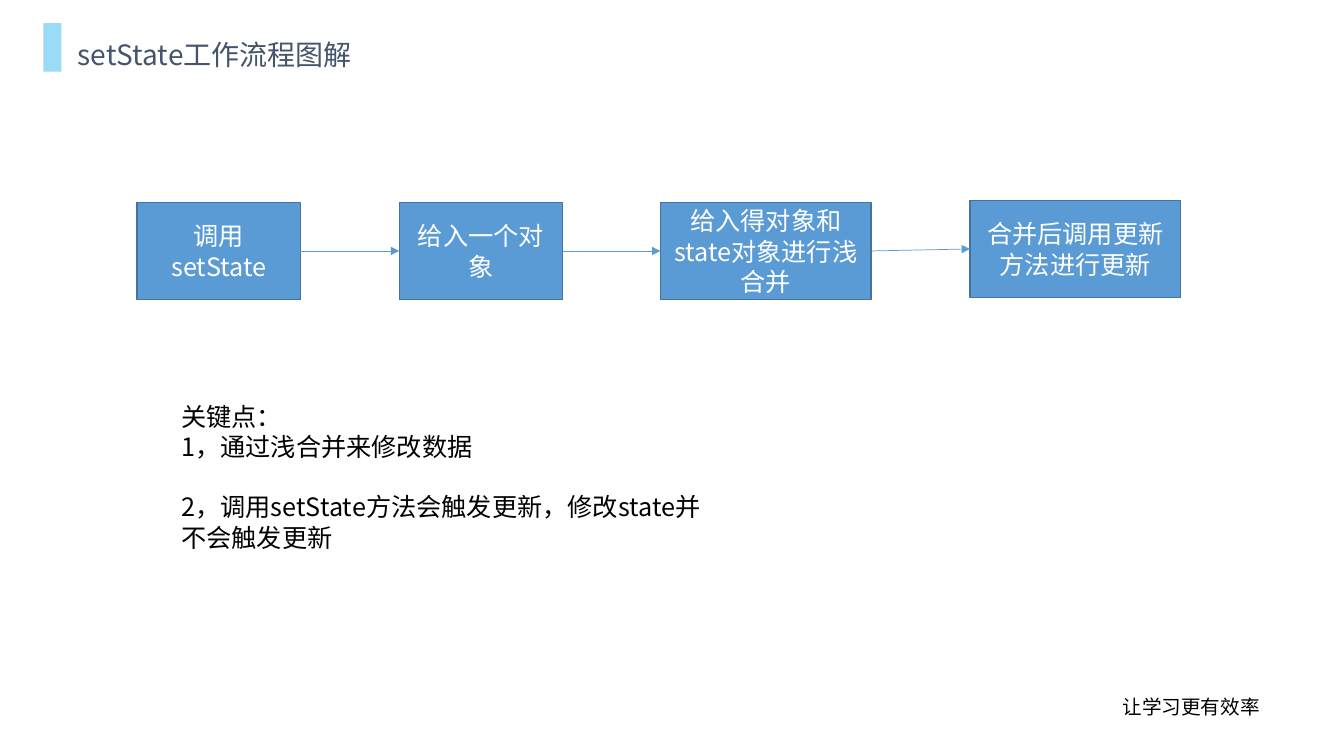
from itertools import pairwise

from lxml import etree
from pptx import Presentation
from pptx.dml.color import RGBColor
from pptx.enum.shapes import MSO_CONNECTOR, MSO_SHAPE
from pptx.enum.text import MSO_ANCHOR, MSO_AUTO_SIZE, PP_ALIGN
from pptx.oxml.ns import qn
from pptx.util import Pt

RECTANGLE = MSO_SHAPE.RECTANGLE
STRAIGHT = MSO_CONNECTOR.STRAIGHT
MIDDLE = MSO_ANCHOR.MIDDLE
TOP = MSO_ANCHOR.TOP
CENTER = PP_ALIGN.CENTER
LEFT = PP_ALIGN.LEFT
GROW = MSO_AUTO_SIZE.SHAPE_TO_FIT_TEXT
FIXED = MSO_AUTO_SIZE.NONE

PX = 9144
LEFT_SITE, RIGHT_SITE = 1, 3

THEME = {
    "font": "Noto Sans CJK SC",
    "title": RGBColor.from_string("44546A"),
    "accent": RGBColor.from_string("9ADBF7"),
    "step": RGBColor.from_string("5B9BD5"),
    "border": RGBColor.from_string("43739E"),
    "light": RGBColor.from_string("FFFFFF"),
    "dark": RGBColor.from_string("000000"),
    "title_size": Pt(20),
    "body_size": Pt(18),
    "footer_size": Pt(14),
}


def write_text(shape, lines, *, size, color, align=LEFT, anchor=TOP,
               auto_size=GROW, line_spacing=None):
    frame = shape.text_frame
    frame.word_wrap = True
    frame.auto_size = auto_size
    frame.vertical_anchor = anchor
    frame.text = "\n".join(lines)
    for paragraph in frame.paragraphs:
        paragraph.alignment = align
        paragraph.line_spacing = line_spacing
        for run in paragraph.runs:
            run.font.name = THEME["font"]
            run.font.size = size
            run.font.color.rgb = color
            east_asian = etree.SubElement(run.font._element, qn("a:ea"))
            east_asian.set("typeface", THEME["font"])
    return frame


def add_rectangle(shapes, left, top, width, height, fill):
    shape = shapes.add_shape(RECTANGLE, left * PX, top * PX, width * PX, height * PX)
    shape.shadow.inherit = False
    shape.fill.solid()
    shape.fill.fore_color.rgb = fill
    shape.line.fill.background()
    return shape


presentation = Presentation()
presentation.slide_width = 1333 * PX
presentation.slide_height = 750 * PX
slide = presentation.slides.add_slide(presentation.slide_layouts[6])
shapes = slide.shapes

footer = shapes.add_textbox(976 * PX, 684 * PX, 411 * PX, 34 * PX)
write_text(footer, ["让学习更有效率"], size=THEME["footer_size"],
           color=THEME["dark"], align=CENTER)

title = shapes.add_textbox(43 * PX, 16 * PX, 985 * PX, 55 * PX)
title_frame = write_text(title, ["setState工作流程图解"], size=THEME["title_size"],
                         color=THEME["title"], line_spacing=1.5)
title_frame.margin_left = 34 * PX

add_rectangle(shapes, 43, 23, 18, 48, THEME["accent"])

STEPS = [
    ("调用setState", 136, 201, 162),
    ("给入一个对象", 396, 201, 162),
    ("给入得对象和state对象进行浅合并", 655, 201, 209),
    ("合并后调用更新方法进行更新", 962, 199, 209),
]
step_boxes = []
for label, left, top, width in STEPS:
    box = add_rectangle(shapes, left, top, width, 96, THEME["step"])
    box.line.color.rgb = THEME["border"]
    box.line.width = Pt(1)
    write_text(box, [label], size=THEME["body_size"], color=THEME["light"],
               align=CENTER, anchor=MIDDLE, auto_size=FIXED)
    step_boxes.append(box)

for source, target in pairwise(step_boxes):
    arrow = shapes.add_connector(STRAIGHT, 0, 0, 0, 0)
    arrow.begin_connect(source, RIGHT_SITE)
    arrow.end_connect(target, LEFT_SITE)
    arrow.line.color.rgb = THEME["step"]
    arrow.line.width = Pt(0.5)
    etree.SubElement(arrow.line._get_or_add_ln(), qn("a:tailEnd")).set("type", "triangle")
    etree.SubElement(arrow._element.spPr, qn("a:effectLst"))

KEY_POINTS = [
    "关键点：",
    "1，通过浅合并来修改数据",
    "2，调用setState方法会触发更新，修改state并不会触发更新",
]
notes = shapes.add_textbox(170 * PX, 393 * PX, 538 * PX, 162 * PX)
notes_frame = write_text(notes, KEY_POINTS, size=THEME["body_size"], color=THEME["dark"])
notes_frame.paragraphs[-1].space_before = Pt(21.5)

presentation.save("out.pptx")
